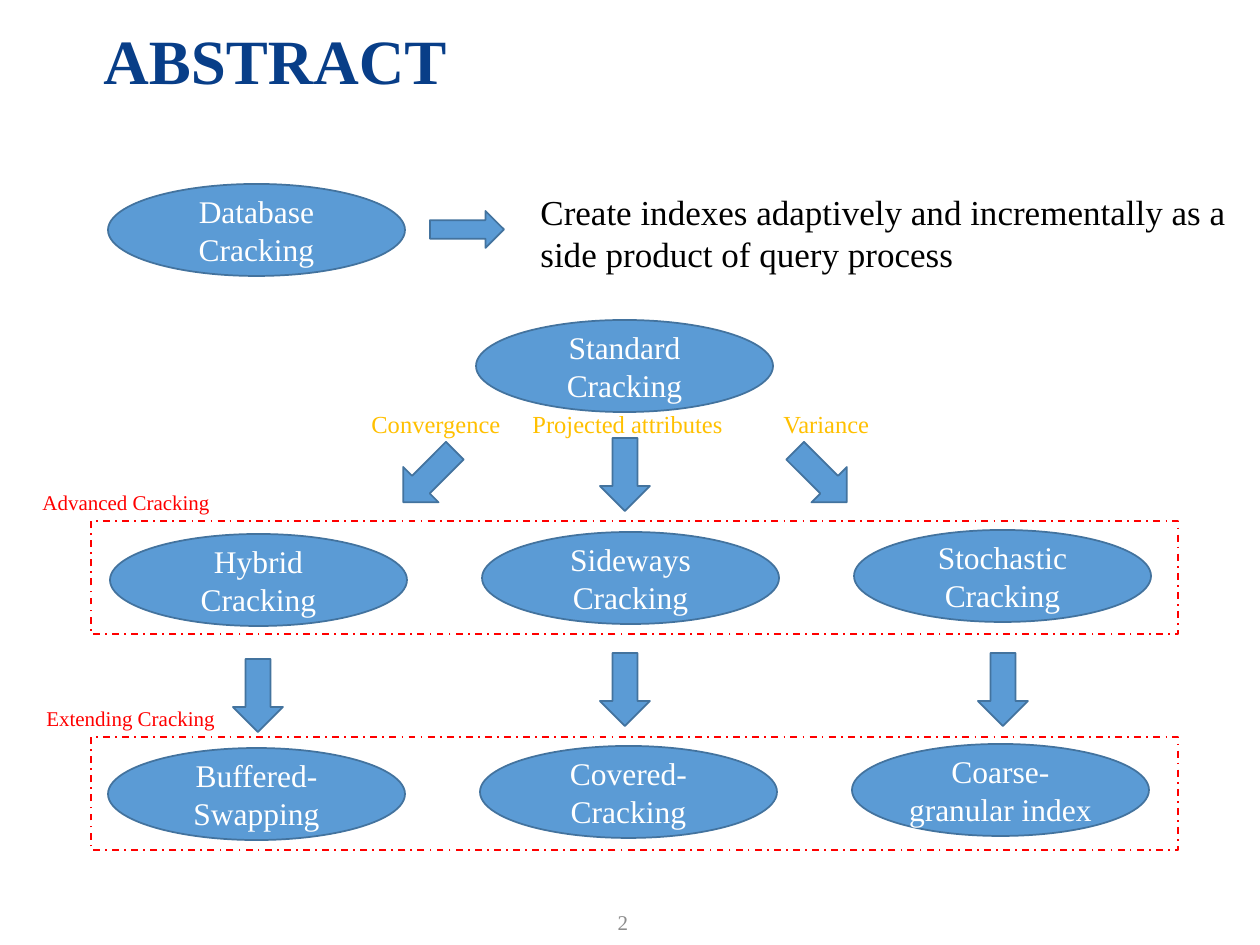
from pptx import Presentation
from pptx.dml.color import RGBColor
from pptx.enum.dml import MSO_LINE
from pptx.enum.shapes import MSO_SHAPE as SHAPE
from pptx.enum.text import MSO_ANCHOR as ANCHOR, PP_ALIGN as ALIGN
from pptx.util import Emu, Pt

PX = 914400 / 126
FONT = "Times New Roman"
NAVY = RGBColor(0x08, 0x3E, 0x88)
BLUE = RGBColor(0x5B, 0x9B, 0xD5)
EDGE = RGBColor(0x43, 0x73, 0x9E)
RED = RGBColor(0xFF, 0x00, 0x00)
GOLD = RGBColor(0xFF, 0xC0, 0x00)
GREY = RGBColor(0x8C, 0x8C, 0x8C)
BLACK = RGBColor(0x00, 0x00, 0x00)
WHITE = RGBColor(0xFF, 0xFF, 0xFF)

COLUMN_STEP, ROW_RISE = 372, -2


def px(*lengths):
    return [Emu(round(length * PX)) for length in lengths]


def write(shape, text, size, color, align=ALIGN.LEFT, anchor=ANCHOR.TOP):
    frame = shape.text_frame
    frame.word_wrap = True
    frame.vertical_anchor = anchor
    frame.text = text
    for para in frame.paragraphs:
        para.alignment = align
        para.font.name = FONT
        para.font.size = Pt(size)
        para.font.color.rgb = color
    return frame


def add_text(page, bounds, text, size, color, **layout):
    box = page.shapes.add_textbox(*px(*bounds))
    return write(box, text, size, color, **layout)


def add_solid(page, kind, bounds, rotation=0):
    """Add a blue preset shape with a darker edge."""
    shape = page.shapes.add_shape(kind, *px(*bounds))
    shape.shadow.inherit = False
    shape.rotation = rotation
    shape.fill.solid()
    shape.fill.fore_color.rgb = BLUE
    shape.line.color.rgb = EDGE
    shape.line.width = Pt(1)
    return shape


def add_ellipse(page, left, top, text):
    ellipse = add_solid(page, SHAPE.OVAL, (left, top, 297, 92))
    write(ellipse, text, 18, WHITE, ALIGN.CENTER, ANCHOR.MIDDLE)


def add_ellipse_row(page, left, top, names):
    for i, name in enumerate(names):
        add_ellipse(page, left + i * COLUMN_STEP, top + i * ROW_RISE, name)


def add_down_arrow(page, left, top, rotation=0):
    add_solid(page, SHAPE.DOWN_ARROW, (left, top, 50, 73), rotation)


def add_frame(page, top):
    """Add a dash-dot outline around a row of ellipses."""
    frame = page.shapes.add_shape(SHAPE.RECTANGLE, *px(91, top, 1087, 113))
    frame.shadow.inherit = False
    frame.fill.background()
    frame.line.color.rgb = RED
    frame.line.width = Pt(1)
    frame.line.dash_style = MSO_LINE.DASH_DOT


def main():
    deck = Presentation()
    deck.slide_width, deck.slide_height = px(1260, 945)
    page = deck.slides.add_slide(deck.slide_layouts[6])

    title = add_text(page, (91, 12, 1067, 105), "ABSTRACT", 36, NAVY,
                     anchor=ANCHOR.MIDDLE)
    title.paragraphs[0].font.bold = True
    title.paragraphs[0].line_spacing = 0.9
    add_text(page, (481, 905, 284, 34), "2", 12, GREY,
             align=ALIGN.CENTER, anchor=ANCHOR.MIDDLE)

    add_ellipse(page, 108, 184, "Database Cracking")
    add_solid(page, SHAPE.RIGHT_ARROW, (430, 211, 74, 37))
    add_text(page, (528, 184, 712, 97),
             "Create indexes adaptively and incrementally as a side product "
             "of query process", 20, BLACK)

    add_ellipse(page, 476, 320, "Standard Cracking")
    add_ellipse_row(page, 110, 534, ["Hybrid Cracking", "Sideways Cracking",
                                     "Stochastic Cracking"])
    add_ellipse_row(page, 108, 748, ["Buffered-Swapping", "Covered-Cracking",
                                     "Coarse-\ngranular index"])

    for left, top, rotation in [(600, 438, 0), (404, 440, 45), (796, 440, 315),
                                (233, 659, 0), (600, 653, 0), (978, 653, 0)]:
        add_down_arrow(page, left, top, rotation)

    for left, top, name in [(30, 521, "Advanced Cracking"),
                            (34, 737, "Extending Cracking")]:
        add_frame(page, top)
        add_text(page, (left, top - 38, 336, 38), name, 12, RED)

    for left, width, reason in [(359, 207, "Convergence"),
                                (520, 243, "Projected attributes"),
                                (771, 207, "Variance")]:
        add_text(page, (left, 403, width, 42), reason, 14, GOLD)

    deck.save("out.pptx")


if __name__ == "__main__":
    main()
